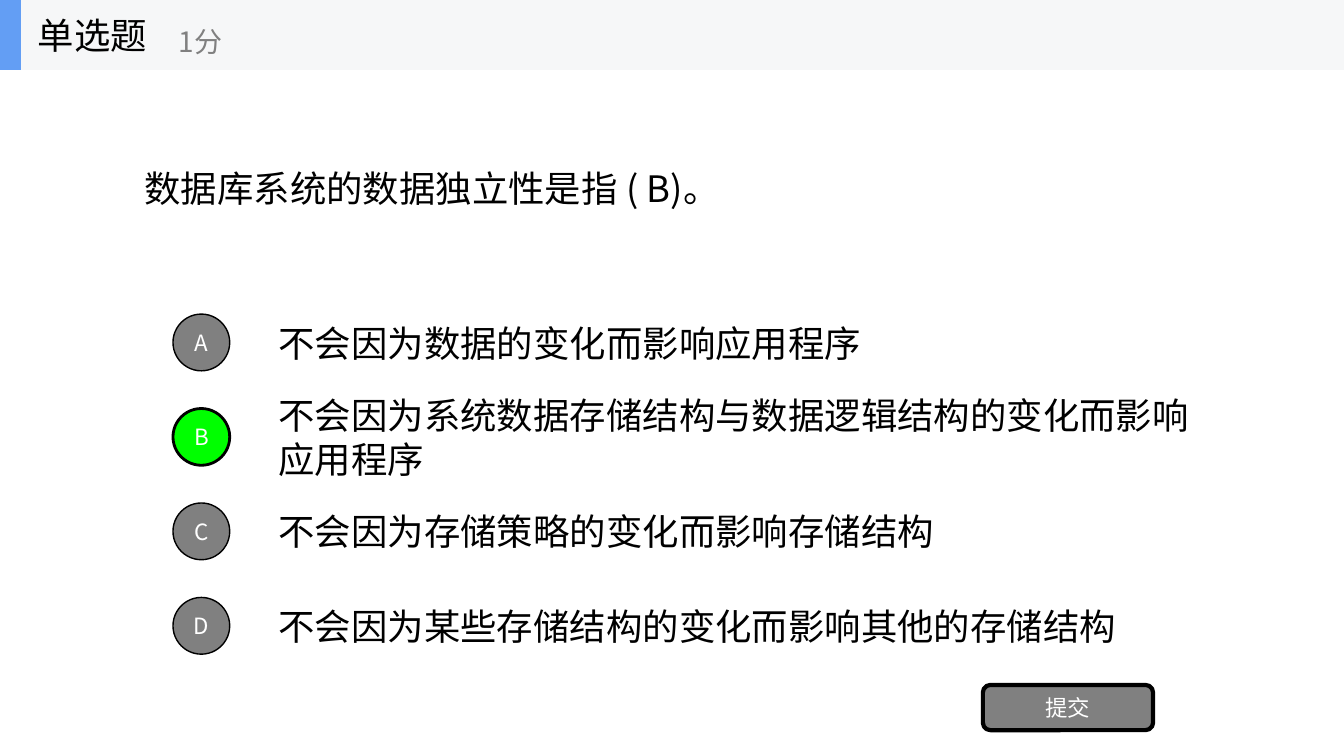
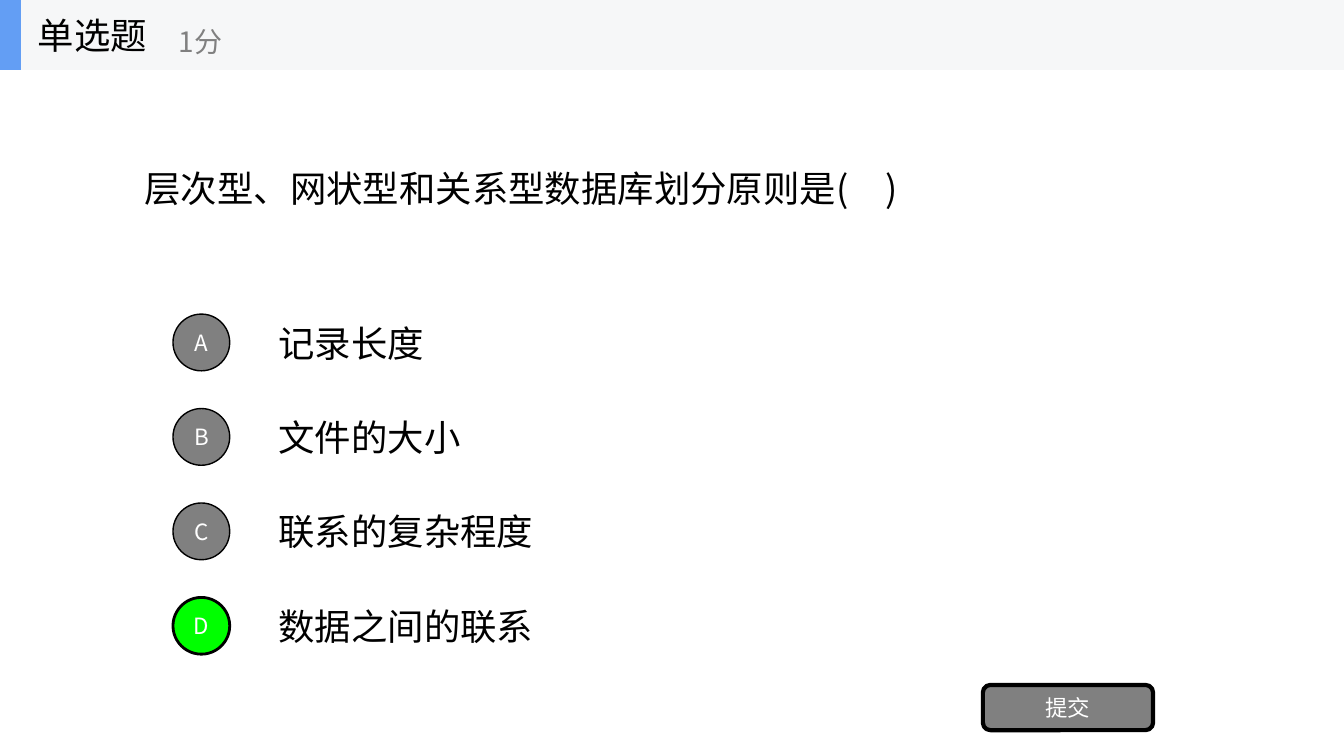
from lxml.etree import SubElement
from pptx import Presentation
from pptx.dml.color import RGBColor
from pptx.enum.shapes import MSO_SHAPE
from pptx.enum.text import MSO_ANCHOR, PP_ALIGN
from pptx.oxml.ns import qn
from pptx.util import Cm, Pt

FONT = "Noto Sans CJK SC"
COLORS = {
    "text": "000000",
    "muted": "808080",
    "white": "FFFFFF",
    "correct": "00FF00",
    "band": "F6F7F8",
    "accent": "639EF4",
}
SLIDE_WIDTH, SLIDE_HEIGHT = 33.87, 19.05
HEADER_BOX = (0, 0, SLIDE_WIDTH, 1.76)
QUESTION_BOX = (3.39, 1.76, 27.09, 5.95)
OPTIONS_BOX = (4.36, 7.74, 26.12, 9.52)
SUBMIT_BOX = (24.77, 17.26, 4.29, 1.14)

QUESTIONS = [
    {
        "stem": "数据库系统的数据独立性是指 ( B)。",
        "options": [
            "不会因为数据的变化而影响应用程序",
            "不会因为系统数据存储结构与数据逻辑结构的变化而影响应用程序",
            "不会因为存储策略的变化而影响存储结构",
            "不会因为某些存储结构的变化而影响其他的存储结构",
        ],
        "answer": "B",
    },
    {
        "stem": "层次型、网状型和关系型数据库划分原则是(　)",
        "options": ["记录长度", "文件的大小", "联系的复杂程度", "数据之间的联系"],
        "answer": "D",
    },
]


def color(name):
    return RGBColor.from_string(COLORS[name])


def write_text(shape, text, size, color_name, align=PP_ALIGN.LEFT):
    frame = shape.text_frame
    frame.word_wrap = True
    frame.vertical_anchor = MSO_ANCHOR.MIDDLE
    paragraph = frame.paragraphs[0]
    paragraph.text = text
    paragraph.alignment = align
    font = paragraph.font
    font.size = Pt(size)
    font.color.rgb = color(color_name)
    font.name = FONT
    properties = paragraph._p.pPr.find(qn("a:defRPr"))
    SubElement(properties, qn("a:ea")).set("typeface", FONT)


def add_text(shapes, box, text, size=26, color_name="text"):
    text_box = shapes.add_textbox(*map(Cm, box))
    write_text(text_box, text, size, color_name)


def add_block(shapes, kind, box, fill, line_width=0):
    shape = shapes.add_shape(kind, *map(Cm, box))
    shape.shadow.inherit = False
    shape.fill.solid()
    shape.fill.fore_color.rgb = color(fill)
    if line_width:
        shape.line.color.rgb = color("text")
        shape.line.width = Pt(line_width)
    else:
        shape.line.fill.background()
    return shape


def add_button(shapes, kind, box, label, fill, line_width):
    button = add_block(shapes, kind, box, fill, line_width)
    write_text(button, label, 16, "white", PP_ALIGN.CENTER)


def add_options(shapes, box, options, answer):
    left, top, width, height = box
    pitch = height / len(options)
    text_height, circle_size, text_indent = 1.78, 1.43, 2.41
    circle_offset = (text_height - circle_size) / 2
    for index, option in enumerate(options):
        row_top = top + index * pitch
        add_text(shapes, (left + text_indent, row_top, width - text_indent, text_height), option)
    for index, letter in enumerate("ABCD"[:len(options)]):
        circle_box = (left, top + index * pitch + circle_offset, circle_size, circle_size)
        is_answer = letter == answer
        fill = "correct" if is_answer else "muted"
        add_button(shapes, MSO_SHAPE.OVAL, circle_box, letter, fill, 2 if is_answer else 1)


def add_header(slide, box, title, points):
    left, top, width, height = box
    shapes = slide.shapes.add_group_shape().shapes
    add_block(shapes, MSO_SHAPE.RECTANGLE, box, "band")
    add_block(shapes, MSO_SHAPE.RECTANGLE, (left, top, 0.53, height), "accent")
    add_text(shapes, (left + 0.7, top, 5.28, height), title)
    add_text(shapes, (left + 4.25, top + 0.32, 6.35, height - 0.34), points, 20, "muted")


def add_question_slide(presentation, question):
    slide = presentation.slides.add_slide(presentation.slide_layouts[6])
    shapes = slide.shapes
    add_text(shapes, QUESTION_BOX, question["stem"])
    add_options(shapes, OPTIONS_BOX, question["options"], question["answer"])
    add_button(shapes, MSO_SHAPE.ROUNDED_RECTANGLE, SUBMIT_BOX, "提交", "muted", 3)
    add_header(slide, HEADER_BOX, "单选题", "1分")


def main():
    presentation = Presentation()
    presentation.slide_width = Cm(SLIDE_WIDTH)
    presentation.slide_height = Cm(SLIDE_HEIGHT)
    for question in QUESTIONS:
        add_question_slide(presentation, question)
    presentation.save("out.pptx")


if __name__ == "__main__":
    main()
